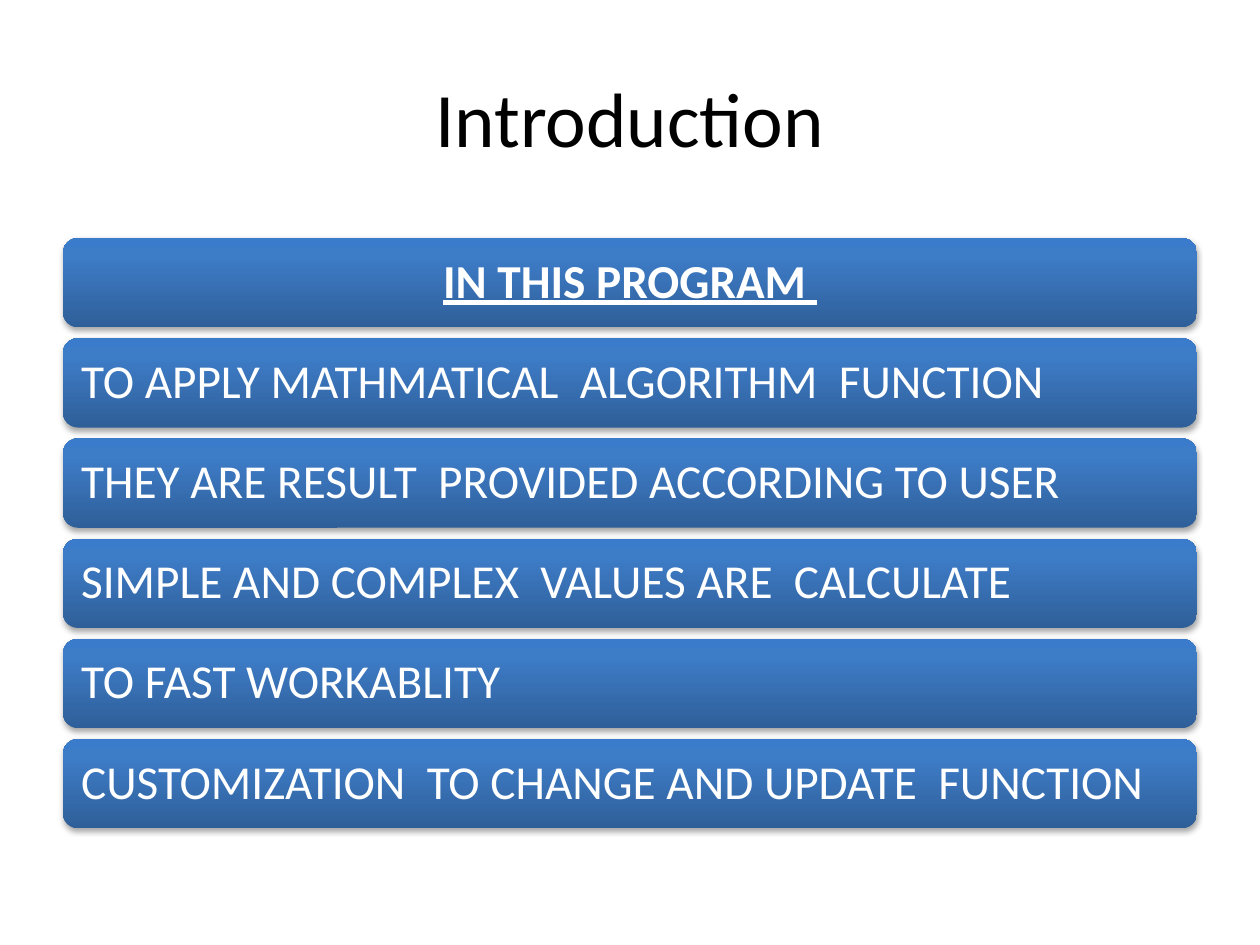
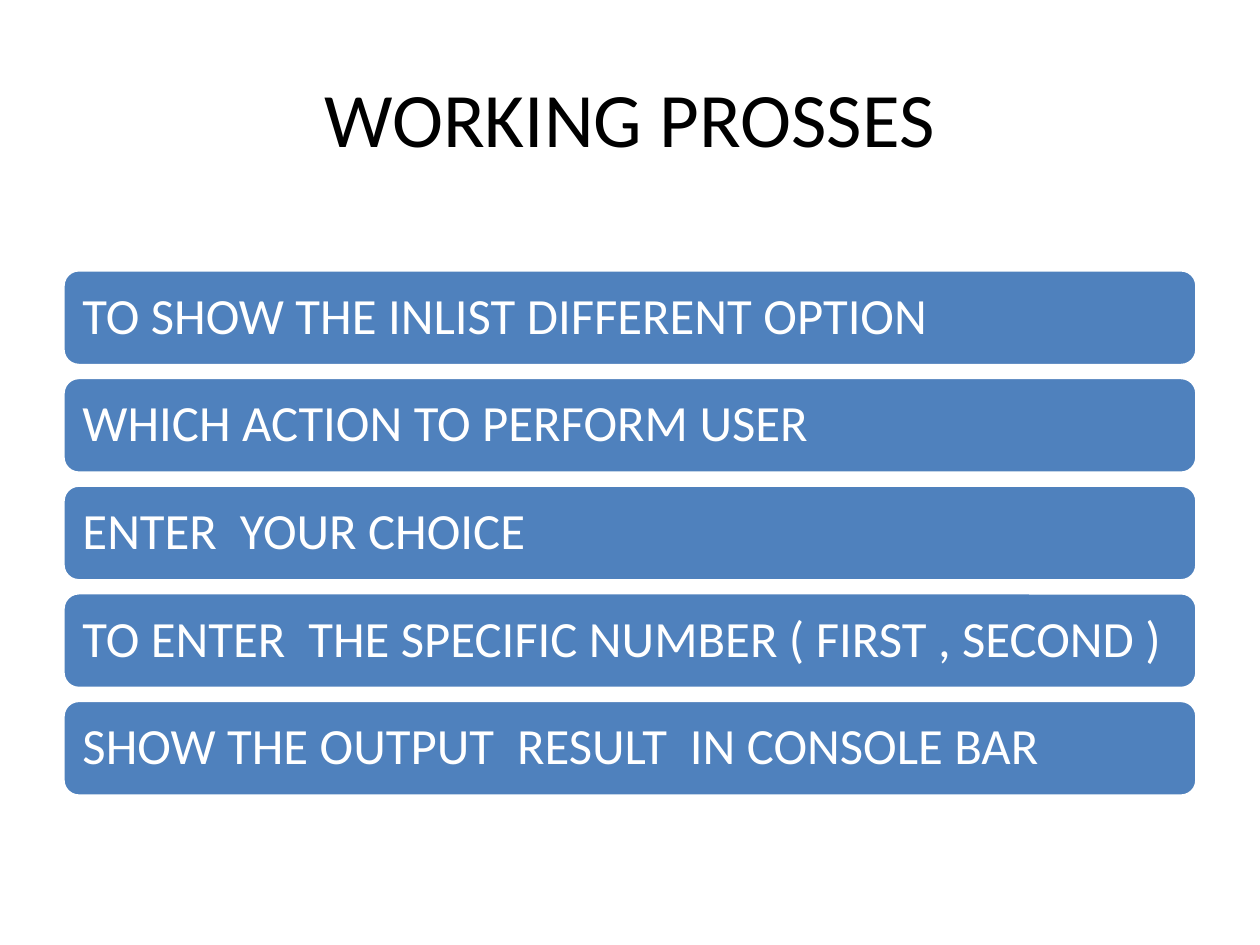
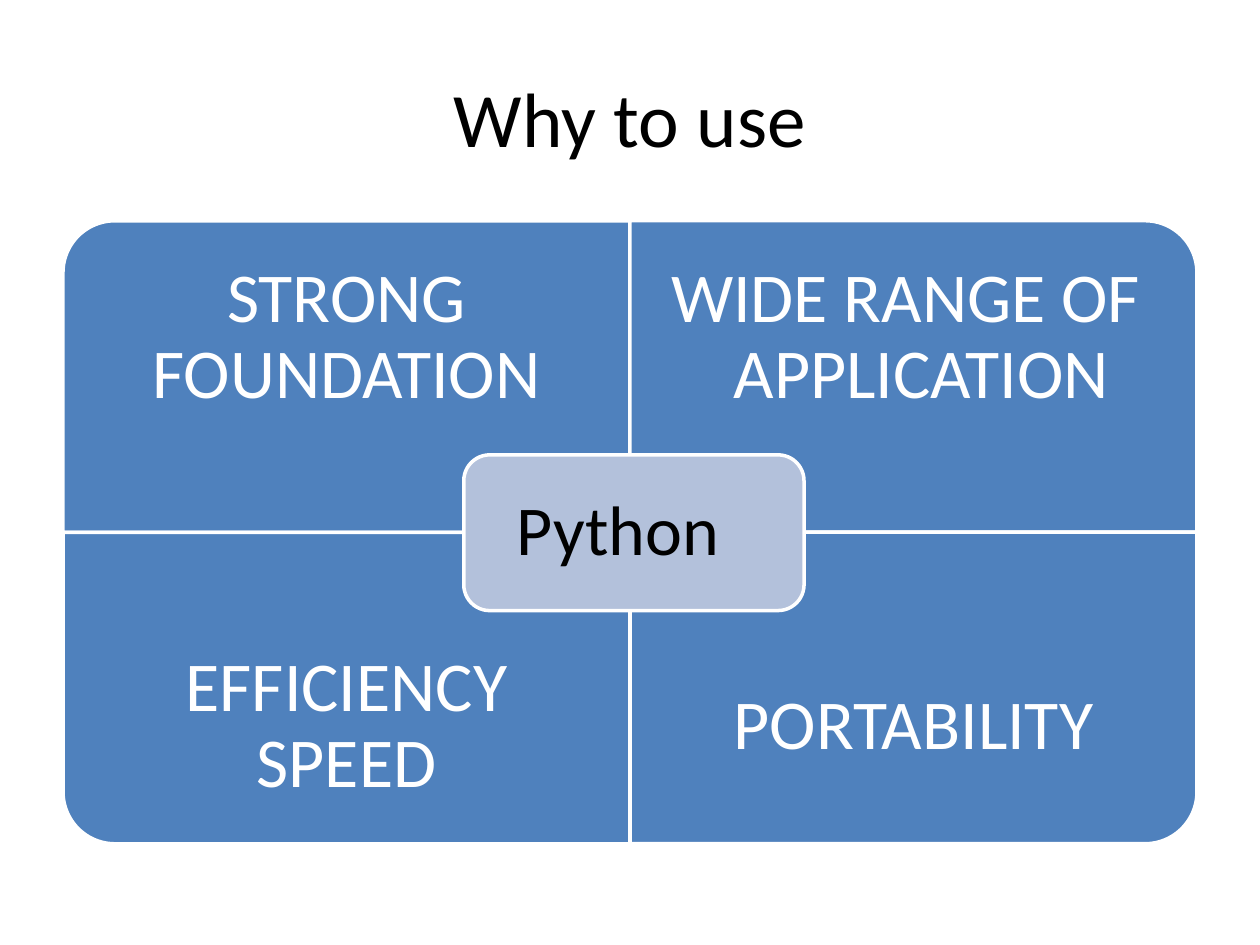
from lxml.etree import SubElement
from pptx import Presentation
from pptx.dml.color import RGBColor
from pptx.enum.shapes import MSO_SHAPE
from pptx.enum.text import MSO_ANCHOR, PP_ALIGN
from pptx.oxml.ns import qn
from pptx.util import Cm, Pt

FONT = "Calibri"
WHITE, BLACK = "FFFFFF", "000000"
BLUE, PALE_BLUE = "4F81BD", "B3C1DB"
GRADIENT = [(0, "2F5F99"), (80, "3D7CC7"), (100, "3A7CCB")]
LEFT, WIDTH = 1.27, 22.86

INTRODUCTION = {
    "title": "Introduction",
    "heading": "IN THIS PROGRAM ",
    "points": [
        "TO APPLY MATHMATICAL  ALGORITHM  FUNCTION",
        "THEY ARE RESULT  PROVIDED ACCORDING TO USER",
        "SIMPLE AND COMPLEX  VALUES ARE  CALCULATE",
        "TO FAST WORKABLITY",
        "CUSTOMIZATION  TO CHANGE AND UPDATE  FUNCTION",
    ],
}
PROCESS = {
    "title": "WORKING PROSSES",
    "steps": [
        "TO SHOW THE INLIST DIFFERENT OPTION",
        "WHICH ACTION TO PERFORM USER",
        "ENTER  YOUR CHOICE",
        "TO ENTER  THE SPECIFIC NUMBER ( FIRST , SECOND )",
        "SHOW THE OUTPUT  RESULT  IN CONSOLE BAR",
    ],
}
REASONS = {
    "title": "Why to use",
    "center": "Python  ",
    "quadrants": [
        ("STRONG FOUNDATION", 270),
        ("WIDE RANGE OF   APPLICATION", 0),
        ("EFFICIENCY SPEED", 180),
        ("PORTABILITY", 90),
    ],
}


def color(value):
    return RGBColor.from_string(value)


def write(shape, text, size, text_color=WHITE, align=PP_ALIGN.CENTER,
          margin=0.28, spacing=0.9, emphasis=False):
    frame = shape.text_frame
    frame.word_wrap = True
    frame.vertical_anchor = MSO_ANCHOR.MIDDLE
    frame.margin_left = frame.margin_right = Cm(margin)
    frame.margin_top = frame.margin_bottom = Cm(margin)
    paragraph = frame.paragraphs[0]
    paragraph.alignment = align
    paragraph.line_spacing = spacing
    run = paragraph.add_run()
    run.text = text
    font = run.font
    font.name = FONT
    font.size = Pt(size)
    font.color.rgb = color(text_color)
    if emphasis:
        font.bold = font.underline = True


def add_text(slide, box, text, size, **style):
    shape = slide.shapes.add_textbox(*map(Cm, box))
    write(shape, text, size, **style)


def add_panel(slide, kind, box, fill=BLUE):
    shape = slide.shapes.add_shape(kind, *map(Cm, box))
    shape.shadow.inherit = False
    shape.fill.solid()
    shape.fill.fore_color.rgb = color(fill)
    shape.line.color.rgb = color(WHITE)
    shape.line.width = Pt(2)
    return shape


def add_color_node(parent, value):
    return SubElement(parent, qn("a:srgbClr"), val=value)


def make_glossy(shape):
    shape.line.fill.background()
    shape.fill.gradient()
    shape.fill.gradient_angle = 90
    properties = shape.element.spPr
    stops = properties.find(qn("a:gradFill")).find(qn("a:gsLst"))
    for stop in list(stops):
        stops.remove(stop)
    for position, value in GRADIENT:
        stop = SubElement(stops, qn("a:gs"), pos=str(position * 1000))
        add_color_node(stop, value)
    shadow = SubElement(
        properties.find(qn("a:effectLst")), qn("a:outerShdw"),
        blurRad=str(Pt(3.1)), dist=str(Pt(1.8)), dir="5400000", rotWithShape="0")
    SubElement(add_color_node(shadow, BLACK), qn("a:alpha"), val="35000")


def add_bars(slide, texts, top, height, gap, size, margin, glossy=False, heading=None):
    for index, text in enumerate(texts):
        box = (LEFT, top + index * (height + gap), WIDTH, height)
        bar = add_panel(slide, MSO_SHAPE.ROUNDED_RECTANGLE, box)
        if glossy:
            make_glossy(bar)
        is_heading = text == heading
        align = PP_ALIGN.CENTER if is_heading else PP_ALIGN.LEFT
        write(bar, text, size, align=align, margin=margin, emphasis=is_heading)


def add_quadrants(slide, quadrants, center):
    top, width, height, text_height = 4.45, WIDTH / 2, 6.28, 4.72
    for index, (text, rotation) in enumerate(quadrants):
        row, column = divmod(index, 2)
        left, y = LEFT + column * width, top + row * height
        sideways = rotation % 180 != 0
        w, h = (height, width) if sideways else (width, height)
        box = (left + (width - w) / 2, y + (height - h) / 2, w, h)
        panel = add_panel(slide, MSO_SHAPE.ROUND_1_RECTANGLE, box)
        panel.rotation = rotation
        text_top = y + row * (height - text_height)
        add_text(slide, (left, text_top, width, text_height), text, 40, margin=0.79)
    hub = add_panel(slide, MSO_SHAPE.ROUNDED_RECTANGLE, (9.35, 9.17, 6.86, 3.14), PALE_BLUE)
    write(hub, center, 40, BLACK, margin=0.43)


def add_slide(presentation, title):
    slide = presentation.slides.add_slide(presentation.slide_layouts[6])
    add_text(slide, (LEFT, 0.76, WIDTH, 3.18), title, 44, text_color=BLACK, spacing=1.0)
    return slide


def main():
    presentation = Presentation()
    presentation.slide_width, presentation.slide_height = Cm(25.4), Cm(19.05)

    slide = add_slide(presentation, INTRODUCTION["title"])
    heading = INTRODUCTION["heading"]
    add_bars(slide, [heading, *INTRODUCTION["points"]], top=4.8, height=1.8, gap=0.22,
             size=27, margin=0.28, glossy=True, heading=heading)

    slide = add_slide(presentation, PROCESS["title"])
    add_bars(slide, PROCESS["steps"], top=5.44, height=1.93, gap=0.24, size=29, margin=0.3)

    slide = add_slide(presentation, REASONS["title"])
    add_quadrants(slide, REASONS["quadrants"], REASONS["center"])

    presentation.save("out.pptx")


if __name__ == "__main__":
    main()
